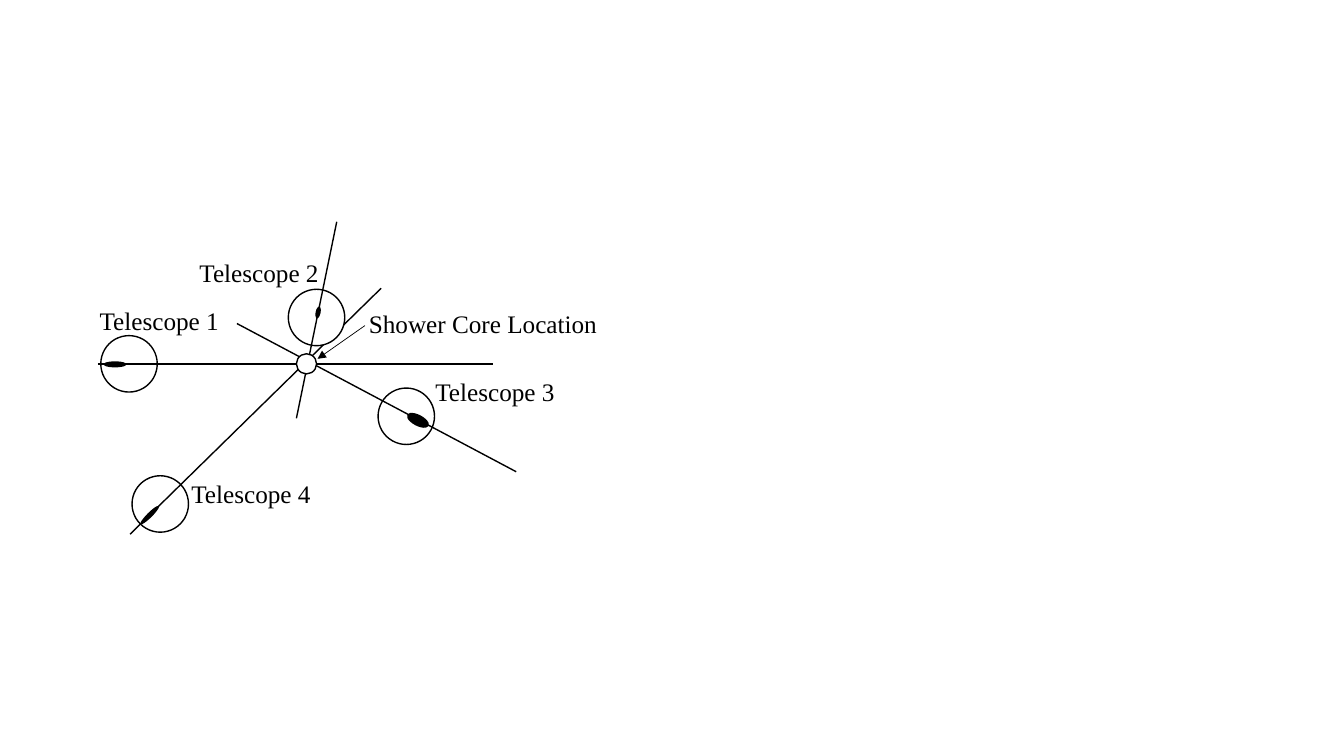
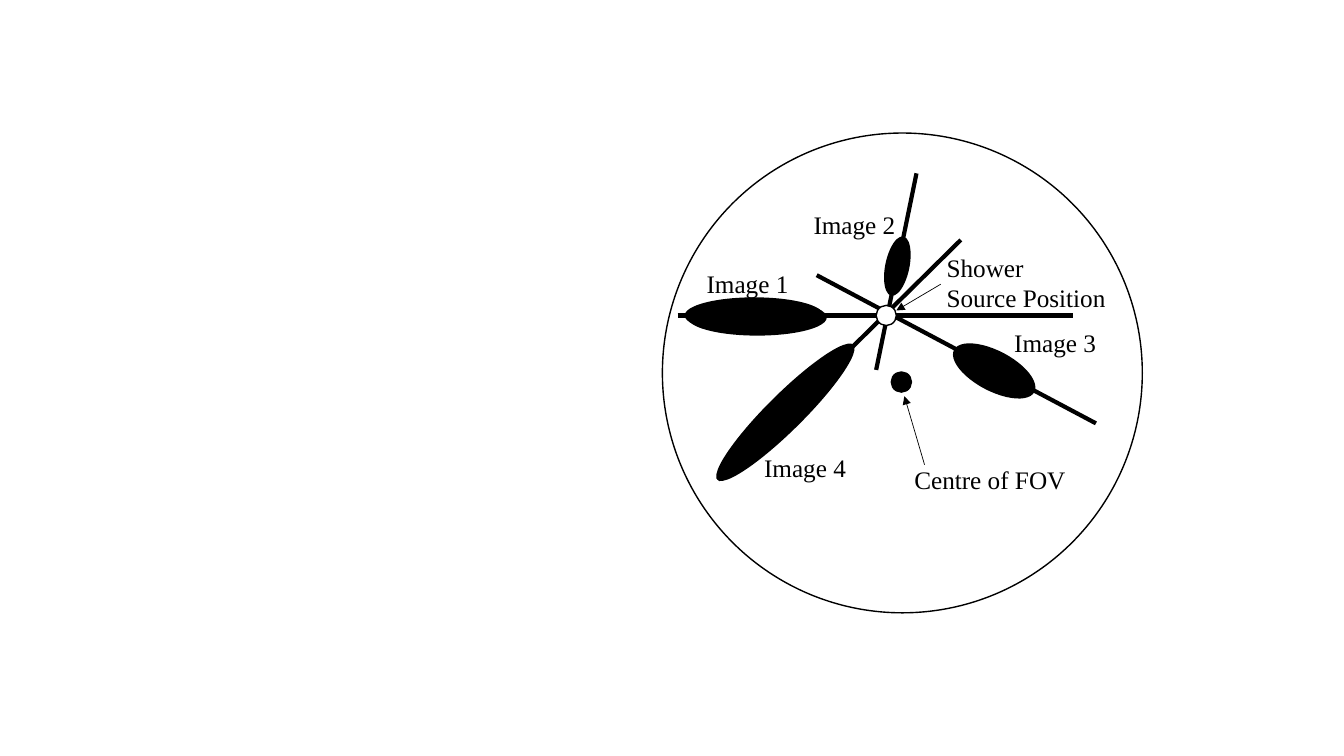
from lxml import etree
from pptx import Presentation
from pptx.dml.color import RGBColor
from pptx.enum import shapes, text
from pptx.oxml import ns
from pptx.util import Inches, Pt

COLORS = {"ink": "000000", "paper": "FFFFFF"}
FONT, SIZE = "Times New Roman", 18

# Ends of each image axis, measured from the shower core
AXES = {
    1: ((-2.07, 0), (1.85, 0)),
    2: ((-0.1, 0.54), (0.3, -1.41)),
    3: ((-0.69, -0.4), (2.08, 1.07)),
    4: ((-1.75, 1.69), (0.74, -0.75)),
}
TILTS = {1: 90, 2: 11.6, 3: 117.7, 4: 45.2}

# Number: circle corner, streak box, label corner
TELESCOPES = {
    4: ((1.31, 4.72), (1.46, 4.98, 0.05, 0.26), (1.8, 4.7)),
    3: ((3.75, 3.85), (4.09, 4.05, 0.11, 0.24), (4.22, 3.68)),
    2: ((2.86, 2.87), (3.13, 3.04, 0.05, 0.12), (1.88, 2.5)),
    1: ((1, 3.33), (1.11, 3.5, 0.06, 0.23), (0.89, 2.98)),
}

# Number: streak boxes, label corner
IMAGES = {
    1: ([(7.3, 2.44, 0.36, 1.38), (7.33, 2.46, 0.36, 1.38)], (6.91, 2.61)),
    2: ([(8.78, 2.34, 0.24, 0.6)], (7.97, 2.03)),
    3: ([(9.66, 3.23, 0.4, 0.9)], (9.96, 3.2)),
    4: ([(7.61, 3.14, 0.36, 1.9)], (7.48, 4.44)),
}


class Diagram:
    """Shared style and the slide being drawn."""

    def __init__(self):
        self.prs = Presentation()
        self.prs.slide_width, self.prs.slide_height = Inches(13.33), Inches(7.5)
        self.s = None

    def color(self, name):
        return RGBColor.from_string(COLORS[name])

    def new_slide(self):
        self.s = self.prs.slides.add_slide(self.prs.slide_layouts[6])
        fill = self.s.background.fill
        fill.solid()
        fill.fore_color.rgb = self.color("paper")

    def ellipse(self, box, fill="paper", outlined=True, tilt=0):
        sp = self.s.shapes.add_shape(
            shapes.MSO_SHAPE.OVAL, *(Inches(v) for v in box))
        sp.shadow.inherit = False
        sp.rotation = tilt
        sp.fill.solid()
        sp.fill.fore_color.rgb = self.color(fill)
        if outlined:
            sp.line.color.rgb = self.color("ink")
            sp.line.width = Pt(1)
        else:
            sp.line.fill.background()

    def streak(self, number, box):
        self.ellipse(box, "ink", outlined=False, tilt=TILTS[number])

    def dot(self, center, fill="paper"):
        x, y = center
        self.ellipse((x - 0.1, y - 0.1, 0.2, 0.2), fill)

    def line(self, start, end, width):
        c = self.s.shapes.add_connector(
            shapes.MSO_CONNECTOR.STRAIGHT, *(Inches(v) for v in (*start, *end)))
        c.line.color.rgb = self.color("ink")
        c.line.width = Pt(width)
        etree.SubElement(c._element.spPr, ns.qn("a:effectLst"))
        return c

    def arrow(self, start, end):
        ln = self.line(start, end, 0.5).line._get_or_add_ln()
        etree.SubElement(ln, ns.qn("a:tailEnd"), type="triangle")

    def axis(self, core, ends, width):
        start, end = ((core[0] + dx, core[1] + dy) for dx, dy in ends)
        self.line(start, end, width)

    def label(self, corner, width, *lines):
        height = 0.1 + 0.3 * len(lines)
        box = self.s.shapes.add_textbox(
            *(Inches(v) for v in (*corner, width, height)))
        tf = box.text_frame
        tf.word_wrap = False
        tf.auto_size = text.MSO_AUTO_SIZE.SHAPE_TO_FIT_TEXT
        for i, line in enumerate(lines):
            p = tf.add_paragraph() if i else tf.paragraphs[0]
            r = p.add_run()
            r.text = line
            r.font.name, r.font.size = FONT, Pt(SIZE)
            r.font.color.rgb = self.color("ink")


def draw_telescopes(d):
    d.new_slide()
    core = (3.04, 3.61)
    for n, (circle, streak, corner) in TELESCOPES.items():
        d.ellipse((*circle, 0.56, 0.56))
        d.axis(core, AXES[n], 1)
        d.streak(n, streak)
        d.label(corner, 1.4, f"Telescope {n}")
    d.dot(core)
    d.label((3.56, 3.01), 2.49, "Shower Core Location")
    d.arrow((3.62, 3.23), (3.15, 3.56))


def draw_field_of_view(d):
    d.new_slide()
    core = (8.79, 3.13)
    axes = {**AXES, 4: ((-1.67, 1.63), AXES[4][1])}
    d.ellipse((6.57, 1.32, 4.76, 4.76))
    for n, (streaks, corner) in IMAGES.items():
        d.axis(core, axes[n], 3)
        for box in streaks:
            d.streak(n, box)
        d.label(corner, 1.02, f"Image {n}")
    d.dot(core)
    d.label((9.29, 2.45), 1.79, "Shower", "Source Position")
    d.arrow((9.33, 2.82), (8.89, 3.08))
    d.dot((8.94, 3.79), "ink")
    d.label((8.97, 4.56), 1.72, "Centre of FOV")
    d.arrow((9.17, 4.61), (8.97, 3.93))


def main():
    d = Diagram()
    draw_telescopes(d)
    draw_field_of_view(d)
    d.prs.save("out.pptx")


if __name__ == "__main__":
    main()
